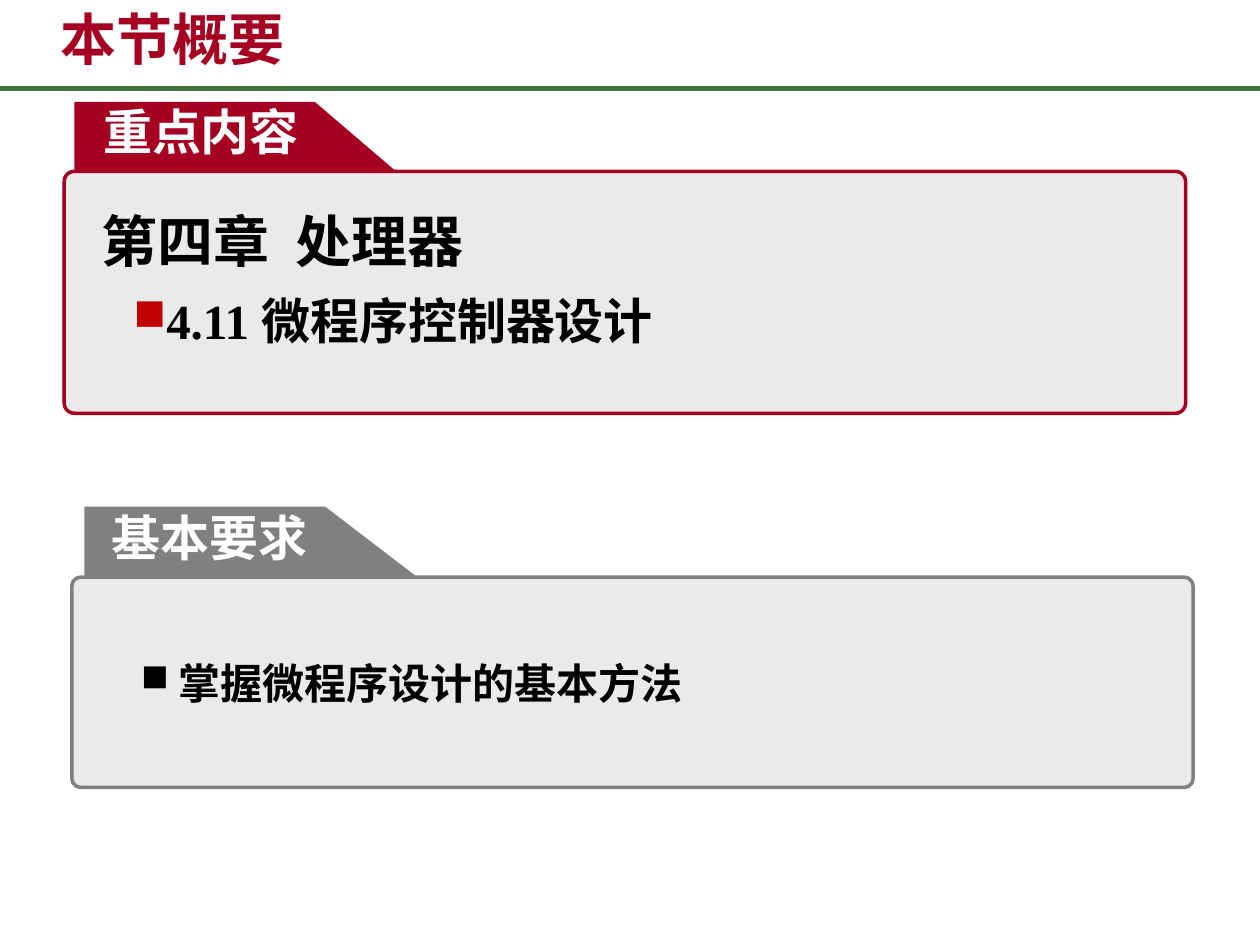
from lxml import etree
from pptx import Presentation
from pptx.dml.color import RGBColor
from pptx.enum.shapes import MSO_CONNECTOR, MSO_SHAPE
from pptx.enum.text import MSO_ANCHOR
from pptx.oxml.ns import qn
from pptx.util import Pt

STRAIGHT = MSO_CONNECTOR.STRAIGHT
ROUNDED = MSO_SHAPE.ROUNDED_RECTANGLE
TOP, BOTTOM = MSO_ANCHOR.TOP, MSO_ANCHOR.BOTTOM

COLORS = {"red": "A50021", "gray": "808080", "green": "3F7141", "panel": "EAEAEA",
          "white": "FFFFFF", "black": "000000", "bullet": "C00000"}
SC, JP = "Noto Sans CJK SC", "Noto Sans CJK JP"

# Content: lengths in points, boxes as (left, top, width, height)
TITLE = dict(text=" 本节概要", size=32, latin=SC, asian=SC, color="red")
TITLE_BOX = (20.16, 3.6, 232.56, 41.04)
RULE_TOP, SLIDE_WIDTH, SLIDE_HEIGHT = 50.4, 720, 540
TAB_WIDTH, TAB_FLAT = 193, 137.5
LABEL = dict(size=28, latin="Arial", asian=SC, color="white")

SECTIONS = [
    dict(color="red", label="重点内容", label_box=(51.84, 54.72, 138.24, 41.04),
         tab=(42.48, 58.32, 47.52), panel=(36.72, 97.92, 640.8, 138.24),
         radius=0.042, body_box=(51.12, 110.88, 612.72, 131.04),
         body=[
             dict(text="第四章  处理器", size=32, latin=JP, asian=JP,
                  color="black", format={"line_spacing": 1.1, "space_before": Pt(6)}),
             dict(text="4.11 微程序控制器设计", size=28, latin="Times New Roman",
                  asian=JP, color="black", level=1, bullet="bullet", indent=(36, -18),
                  format={"line_spacing": 1.1, "space_before": Pt(6)}),
         ]),
    dict(color="gray", label="基本要求", label_box=(56.88, 286.56, 126.72, 41.04),
         tab=(48.24, 289.44, 42.48), panel=(41.04, 329.76, 640.8, 120.24),
         radius=0.043, body_box=(73.44, 363.6, 581.76, 42.48),
         body=[
             dict(text=" 掌握微程序设计的基本方法", size=24, latin=JP, asian=JP,
                  color="black", bullet="black", indent=(0, 0),
                  format={"line_spacing": 1.3}),
         ]),
]


def rgb(name):
    return RGBColor.from_string(COLORS[name])


def points(values):
    return [Pt(value) for value in values]


def add_bullet(paragraph, color, indent):
    props = paragraph._p.get_or_add_pPr()
    for key, value in zip(("marL", "indent"), indent):
        props.set(key, str(Pt(value)))
    bullet_color = etree.SubElement(props, qn("a:buClr"))
    etree.SubElement(bullet_color, qn("a:srgbClr"), val=COLORS[color])
    etree.SubElement(props, qn("a:buSzPct"), val="90000")
    etree.SubElement(props, qn("a:buChar"), char="■")


def add_text(slide, box, lines, anchor=TOP):
    frame = slide.shapes.add_textbox(*points(box)).text_frame
    frame.word_wrap = True
    frame.vertical_anchor = anchor
    for number, line in enumerate(lines):
        paragraph = frame.add_paragraph() if number else frame.paragraphs[0]
        paragraph.level = line.get("level", 0)
        for name, value in line.get("format", {}).items():
            setattr(paragraph, name, value)
        if "bullet" in line:
            add_bullet(paragraph, line["bullet"], line["indent"])
        run = paragraph.add_run()
        run.text = line["text"]
        font_format = {"size": Pt(line["size"]), "bold": True, "name": line["latin"]}
        for name, value in font_format.items():
            setattr(run.font, name, value)
        run.font.color.rgb = rgb(line["color"])
        etree.SubElement(run._r.get_or_add_rPr(), qn("a:ea"), typeface=line["asian"])


def add_tab(slide, left, top, height, color):
    builder = slide.shapes.build_freeform(Pt(left), Pt(top))
    corners = [(left + TAB_FLAT, top), (left + TAB_WIDTH, top + height),
               (left, top + height)]
    builder.add_line_segments([points(corner) for corner in corners], close=True)
    tab = builder.convert_to_shape()
    tab.shadow.inherit = False
    tab.fill.solid()
    tab.fill.fore_color.rgb = rgb(color)
    tab.line.fill.background()


def add_panel(slide, box, radius, color):
    panel = slide.shapes.add_shape(ROUNDED, *points(box))
    panel.shadow.inherit = False
    panel.adjustments[0] = radius
    panel.fill.solid()
    panel.fill.fore_color.rgb = rgb("panel")
    panel.line.color.rgb = rgb(color)
    panel.line.width = Pt(2)


presentation = Presentation()
presentation.slide_width, presentation.slide_height = Pt(SLIDE_WIDTH), Pt(SLIDE_HEIGHT)
slide = presentation.slides.add_slide(presentation.slide_layouts[6])

# Header rule and title
rule = slide.shapes.add_connector(STRAIGHT, *points((0, RULE_TOP, SLIDE_WIDTH, RULE_TOP)))
rule.line.color.rgb = rgb("green")
rule.line.width = Pt(3)
etree.SubElement(rule._element.spPr, qn("a:effectLst"))
add_text(slide, TITLE_BOX, [TITLE], BOTTOM)

# Sections: tab, label, panel, body
for section in SECTIONS:
    add_tab(slide, *section["tab"], section["color"])
    add_text(slide, section["label_box"], [dict(LABEL, text=section["label"])])
    add_panel(slide, section["panel"], section["radius"], section["color"])
    add_text(slide, section["body_box"], section["body"])

presentation.save("out.pptx")
